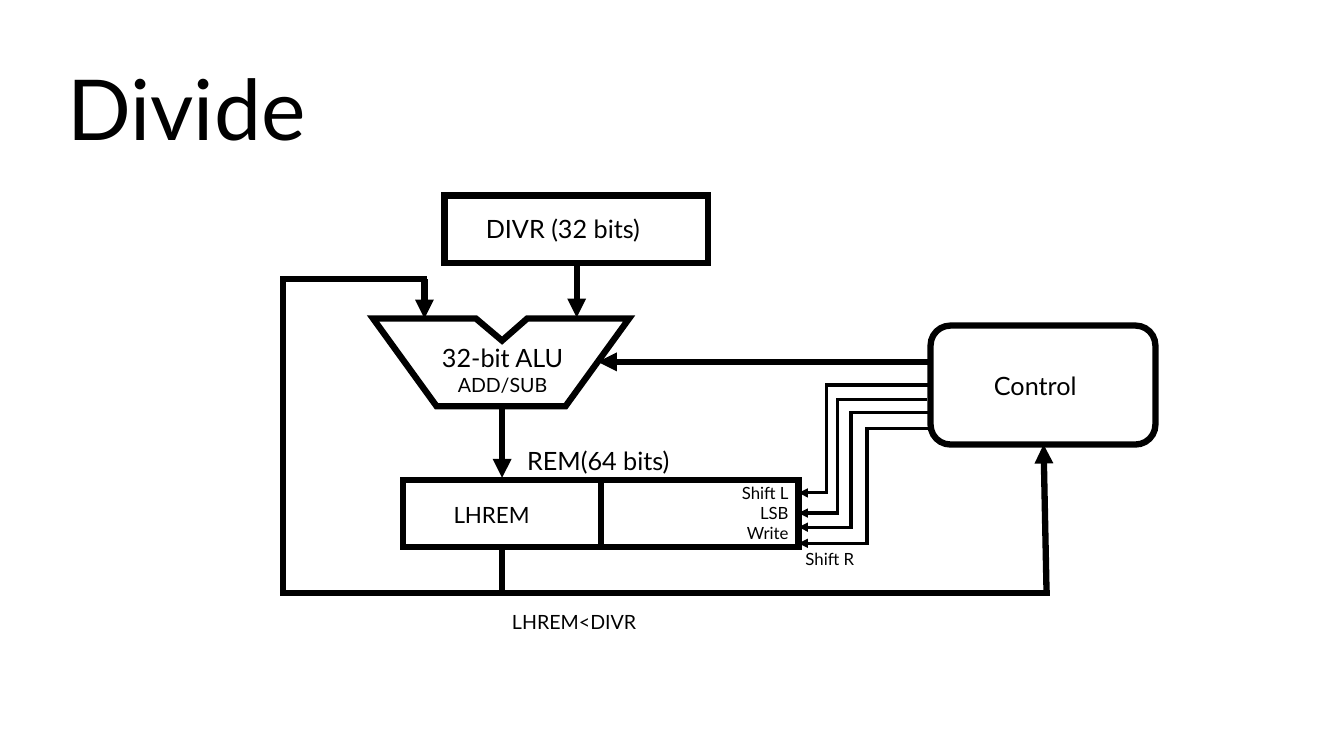
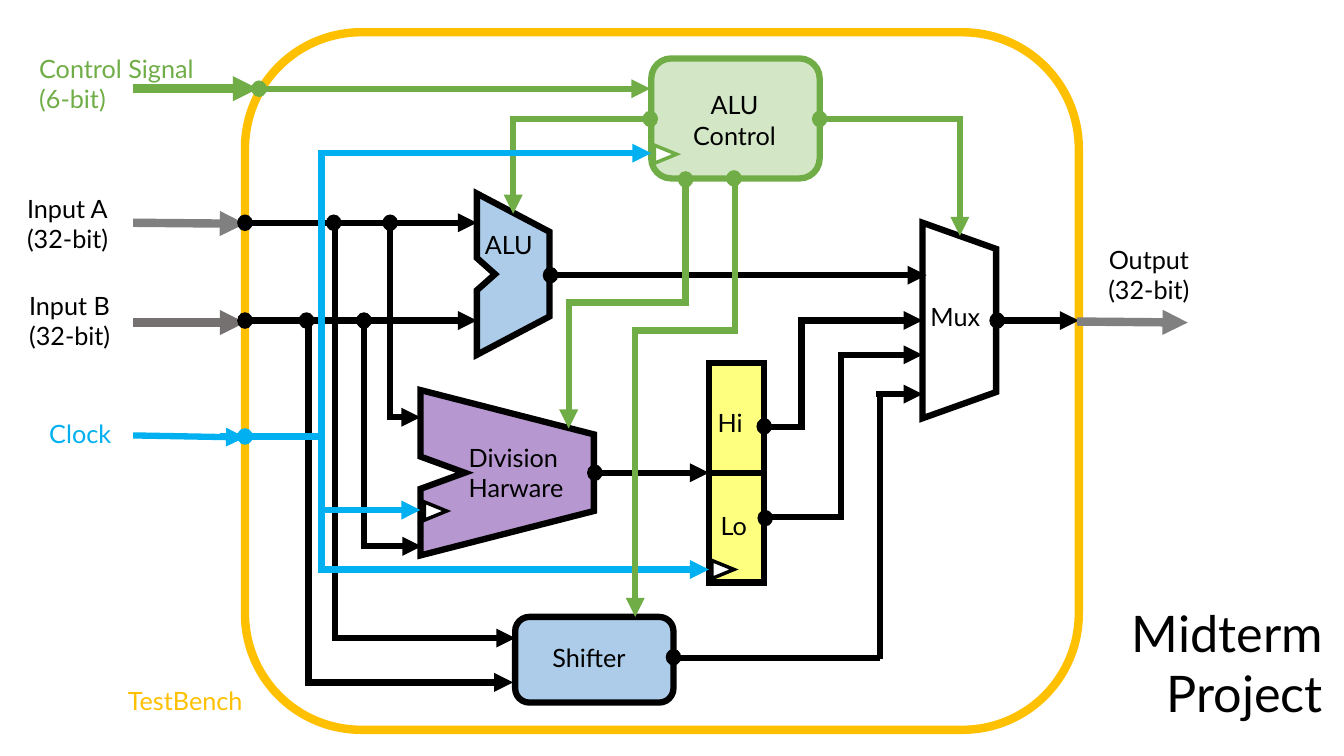
from dataclasses import dataclass
from lxml.etree import SubElement
from pptx import Presentation
from pptx.dml.color import RGBColor
from pptx.enum.shapes import MSO_CONNECTOR, MSO_SHAPE
from pptx.enum.text import MSO_AUTO_SIZE, PP_ALIGN
from pptx.oxml.ns import qn
from pptx.util import Inches, Pt


@dataclass(frozen=True)
class Theme:
    font: str = "Lato"
    ink: str = "000000"
    paper: str = "FFFFFF"
    control: str = "70AD47"
    control_fill: str = "A9D18E"
    clock: str = "00B0F0"
    bench: str = "FFC000"
    logic: str = "5B9BD5"
    division: str = "7030A0"
    register: str = "FFFF00"
    bus: str = "808080"
    bus_b: str = "767171"
    heavy: float = 6
    bold: float = 4.5
    port: float = 2.5
    thin: float = 2.25
    hair: float = 1
    title: int = 60
    subtitle: int = 36
    body: int = 18
    note: int = 16
    small: int = 14
    tiny: int = 12


T = Theme()
CELL = 0.1
LEFT, CENTER, RIGHT = PP_ALIGN.LEFT, PP_ALIGN.CENTER, PP_ALIGN.RIGHT
ROUNDED = MSO_SHAPE.FLOWCHART_ALTERNATE_PROCESS
LOCAL_FRAME = (
    lambda x, y: (x, y),
    lambda x, y: (y, -x),
    lambda x, y: (-x, -y),
    lambda x, y: (-y, x),
)


def cells(*values):
    return [Inches(v * CELL) for v in values]


def stroke(shape, color, width, arrow=False):
    shape.line.color.rgb = RGBColor.from_string(color)
    shape.line.width = Pt(width)
    ln = shape.line._get_or_add_ln()
    SubElement(ln, qn("a:miter"), lim="800000")
    if arrow:
        SubElement(ln, qn("a:tailEnd"), type="triangle")


def paint(shape, fill, alpha, line, width):
    shape.shadow.inherit = False
    if fill:
        shape.fill.solid()
        shape.fill.fore_color.rgb = RGBColor.from_string(fill)
        if alpha < 100:
            color = shape._element.spPr.find(qn("a:solidFill"))[0]
            SubElement(color, qn("a:alpha"), val=str(alpha * 1000))
    else:
        shape.fill.background()
    stroke(shape, line, width)


def block(s, kind, x, y, w, h, fill=None, alpha=50, line=T.ink, width=T.bold):
    shape = s.shapes.add_shape(kind, *cells(x, y, w, h))
    paint(shape, fill, alpha, line, width)
    return shape


def outline(s, points, fill=None):
    start, *rest = [cells(*point) for point in points]
    builder = s.shapes.build_freeform(*start, scale=1.0)
    builder.add_line_segments(rest, close=True)
    paint(builder.convert_to_shape(), fill, 50, T.ink, T.bold)


def funnel(s, x, y, w, h, inset, fill=None, notch=None):
    points = [(x, y), (x + w, y + inset), (x + w, y + h - inset), (x, y + h)]
    if notch:
        half, depth = notch
        mid = y + h / 2
        points += [(x, mid + half), (x + depth, mid), (x, mid - half)]
    outline(s, points, fill)


def dot(s, x, y, color=T.ink):
    w, h = 1.4, 1.5
    block(s, MSO_SHAPE.OVAL, x - w / 2, y - h / 2, w, h, color, 100, color, T.hair)


def clock_port(s, x, y, color=T.ink):
    w, h = 1.8, 2.2
    shape = block(s, MSO_SHAPE.ISOSCELES_TRIANGLE, x - w / 2, y - h / 2, w, h,
                  T.paper, 100, color, T.port)
    shape.rotation = 90


def connector(s, kind, ends, color, width, arrow):
    c = s.shapes.add_connector(kind, *cells(*ends))
    stroke(c, color, width, arrow)
    SubElement(c._element.spPr, qn("a:effectLst"))
    return c


def wire(s, x1, y1, x2, y2, color=T.ink, width=T.bold, arrow=True):
    connector(s, MSO_CONNECTOR.STRAIGHT, (x1, y1, x2, y2), color, width, arrow)


def elbow(s, x1, y1, x2, y2, bend=None, down=False, color=T.ink, width=T.bold):
    dx, dy = x2 - x1, y2 - y1
    if down:
        turn = 1 if dx < 0 else 3
    else:
        turn = 0 if dx > 0 else 2
    u, v = LOCAL_FRAME[turn](dx / 2, dy / 2)
    cx, cy = (x1 + x2) / 2, (y1 + y2) / 2
    c = connector(s, MSO_CONNECTOR.ELBOW, (cx - u, cy - v, cx + u, cy + v),
                  color, width, True)
    spPr = c._element.spPr
    spPr.find(qn("a:xfrm")).set("rot", str(turn * 5400000))
    geom = spPr.find(qn("a:prstGeom"))
    if bend is None:
        geom.set("prst", "bentConnector2")
        return
    share = (bend - y1) / dy if down else (bend - x1) / dx
    guides = geom.find(qn("a:avLst"))
    if guides is None:
        guides = SubElement(geom, qn("a:avLst"))
    SubElement(guides, qn("a:gd"), name="adj1", fmla=f"val {round(share * 100000)}")


def label(s, text, x, y, w, h, sizes=(T.body,), color=T.ink, align=LEFT, wrap=False):
    tf = s.shapes.add_textbox(*cells(x, y, w, h)).text_frame
    tf.word_wrap = wrap
    tf.auto_size = MSO_AUTO_SIZE.SHAPE_TO_FIT_TEXT
    for i, line in enumerate(text.split("\n")):
        p = tf.paragraphs[0] if i == 0 else tf.add_paragraph()
        p.alignment = align
        r = p.add_run()
        r.text = line
        r.font.name = T.font
        r.font.size = Pt(sizes[min(i, len(sizes) - 1)])
        r.font.color.rgb = RGBColor.from_string(color)


def divide_slide(s):
    block(s, MSO_SHAPE.RECTANGLE, 44.1, 19.4, 26.1, 6.7)
    outline(s, [(37, 31.6), (47.2, 31.6), (49.8, 33.8), (52.3, 31.6),
                (62.4, 31.6), (56.1, 40.3), (43.3, 40.3)])
    block(s, MSO_SHAPE.RECTANGLE, 40, 47.6, 39.2, 6.7)
    block(s, ROUNDED, 92.3, 32.3, 22.3, 11.8)

    for ends in [(57.2, 26, 57.2, 31.5), (49.8, 40.3, 49.8, 47.4),
                 (42.1, 27.7, 42.1, 31.6), (92.3, 35.9, 59.3, 35.9),
                 (103.8, 58.8, 103.5, 44.1)]:
        wire(s, *ends)
    for ends in [(59.6, 47.6, 59.6, 54.3), (49.8, 54, 49.8, 58.8),
                 (28.1, 58.8, 104.1, 58.8), (28.1, 27.7, 28.1, 59.1),
                 (27.8, 27.7, 42.4, 27.7)]:
        wire(s, *ends, arrow=False)
    for x1, y1, y2, bend in [(92.3, 38.2, 48.9, 82), (91.9, 39.6, 50.9, 83.1),
                             (92.3, 40.9, 52.3, 84.4), (92.6, 42.5, 53.9, 86)]:
        elbow(s, x1, y1, 79.2, y2, bend, width=T.thin)

    label(s, "Control", 97.6, 36.2, 11.7, 4)
    label(s, "DIVR (32 bits)", 47.2, 20.7, 21, 4)
    label(s, "32-bit ALU\nADD/SUB", 41.8, 33.5, 16.1, 6.4, (T.body, T.small), align=CENTER)
    label(s, "REM(64 bits)", 51.3, 43.7, 19.3, 4)
    label(s, "LHREM", 44, 49.2, 11.6, 3.7, (T.note,))
    label(s, "LHREM<DIVR", 49.8, 60, 17.6, 3.4, (T.small,))
    label(s, "Shift L\nLSB\nWrite", 71.4, 47.4, 7.8, 7.1, (T.tiny,), align=RIGHT)
    label(s, "Shift R", 78.9, 53.9, 8.1, 3, (T.tiny,))
    label(s, "Divide", 5.7, 5.1, 29.4, 11.1, (T.title,))


def project_blocks(s):
    block(s, ROUNDED, 24.3, 3.2, 82.7, 69.2, line=T.bench, width=T.heavy)
    funnel(s, 47.3, 19.2, 7.2, 16, 3.8, T.logic, (1.6, 1.8))
    block(s, ROUNDED, 64.6, 5.8, 16.7, 11.9, T.control_fill, line=T.control)
    funnel(s, 41.7, 38.7, 17.2, 16.4, 4.4, T.division, (1.6, 4.4))
    block(s, MSO_SHAPE.RECTANGLE, 70.3, 36, 5.5, 21.8, T.register)
    wire(s, 70.3, 46.9, 75.8, 46.9, arrow=False)
    block(s, ROUNDED, 51.1, 61.2, 15.7, 8.5, T.logic)
    funnel(s, 91.5, 22.1, 7.3, 19.4, 2.6)


def project_wires(s):
    for x1, y, x2 in [(54.6, 27.3, 91.9), (58.9, 46.9, 70.3), (24.3, 22.1, 47.3),
                      (24.3, 31.8, 47.3), (83.1, 35.2, 91.5), (86.9, 39.1, 91.5),
                      (98.9, 31.8, 107)]:
        wire(s, x1, y, x2, y)
    for ends in [(75.8, 51.3, 83.7, 51.3), (83.4, 35.2, 83.4, 51.6),
                 (67, 65.3, 87.3, 65.3), (87.3, 38.8, 87.3, 65.4)]:
        wire(s, *ends, arrow=False)
    for x1, y1, x2, y2 in [(38.7, 22.1, 41.7, 41.4), (36.1, 31.8, 41.8, 54.2),
                           (33.2, 22.2, 51.1, 63.3), (30.6, 31.6, 50.9, 67.7)]:
        elbow(s, x1, y1, x2, y2, y2, down=True)
    elbow(s, 75.8, 42.4, 91.5, 31.8, 79.5)

    wire(s, 24.3, 8.8, 64.5, 8.8, T.control)
    elbow(s, 64.6, 11.8, 50.9, 21.2, color=T.control)
    elbow(s, 81.3, 11.8, 95.2, 23.4, color=T.control)
    elbow(s, 68, 17.4, 56.4, 42.5, 30, down=True, color=T.control)
    for x2, y2 in [(70.3, 56.5), (64.6, 15.2)]:
        elbow(s, 21.8, 43.3, x2, y2, 31.9, color=T.clock)
    wire(s, 31.8, 50.6, 41.7, 50.6, T.clock)
    elbow(s, 72.9, 17.7, 63, 61.2, 32.8, down=True, color=T.control)

    wire(s, 13.2, 8.8, 25.6, 8.8, T.control, T.heavy)
    wire(s, 13.2, 43.2, 24.3, 43.4, T.clock)
    wire(s, 13.2, 32, 24.3, 32, T.bus_b, T.heavy)
    wire(s, 13.2, 22.1, 24.3, 22.2, T.bus, T.heavy)
    wire(s, 106.8, 31.9, 117.8, 32, T.bus, T.heavy)


def project_joints(s):
    joints = {
        T.ink: [(38.7, 22.1), (33.1, 22.1), (24.3, 22.1), (36.1, 31.8), (30.4, 31.8),
                (24.3, 31.8), (54.6, 27.3), (59, 46.9), (75.8, 42.3), (75.9, 51.4),
                (66.8, 65.2), (98.9, 31.8)],
        T.control: [(81.3, 11.8), (64.5, 11.8), (68, 17.8), (72.8, 17.7), (25.7, 8.8)],
        T.clock: [(24.3, 43.3)],
    }
    for color, places in joints.items():
        for x, y in places:
            dot(s, x, y, color)
    clock_port(s, 66, 15.3, T.control)
    clock_port(s, 43.2, 50.7)
    clock_port(s, 71.7, 56.5)


def project_slide(s):
    project_blocks(s)
    project_wires(s)
    project_joints(s)
    for text, x, y, w, h, color in [
        ("Input A\n(32-bit)", 1.7, 18.7, 12.6, 7.1, T.ink),
        ("Input B\n(32-bit)", 1.9, 28.3, 12.6, 7.1, T.ink),
        ("Control Signal\n(6-bit)", 2.9, 4.8, 20.8, 7.1, T.control),
        ("Clock", 3.9, 41, 9.3, 4, T.clock),
        ("TestBench", 11.7, 67.5, 15.4, 4, T.bench),
        ("ALU", 47.1, 22.3, 7.6, 4, T.ink),
        ("Division\nHarware", 45.5, 43.4, 13.9, 7.1, T.ink),
        ("Hi", 70.2, 39.9, 5.3, 4, T.ink),
        ("Lo", 70.5, 50.1, 5.3, 4, T.ink),
        ("Shifter", 53.8, 63.2, 11.1, 4, T.ink),
        ("Mux", 91.3, 29.4, 8.3, 4.1, T.ink),
    ]:
        label(s, text, x, y, w, h, color=color, wrap=True)
    label(s, "ALU\nControl", 67, 8.4, 11.7, 7.1, align=CENTER)
    label(s, "Output\n(32-bit)", 108.2, 23.7, 11.5, 7.1, align=CENTER)
    label(s, "Midterm\nProject", 107.7, 59.2, 24.5, 13.1, (T.subtitle,), align=RIGHT)


def main():
    prs = Presentation()
    prs.slide_width, prs.slide_height = Inches(13.33), Inches(7.5)
    blank = prs.slide_layouts[6]
    for build in (divide_slide, project_slide):
        build(prs.slides.add_slide(blank))
    prs.save("out.pptx")


main()
